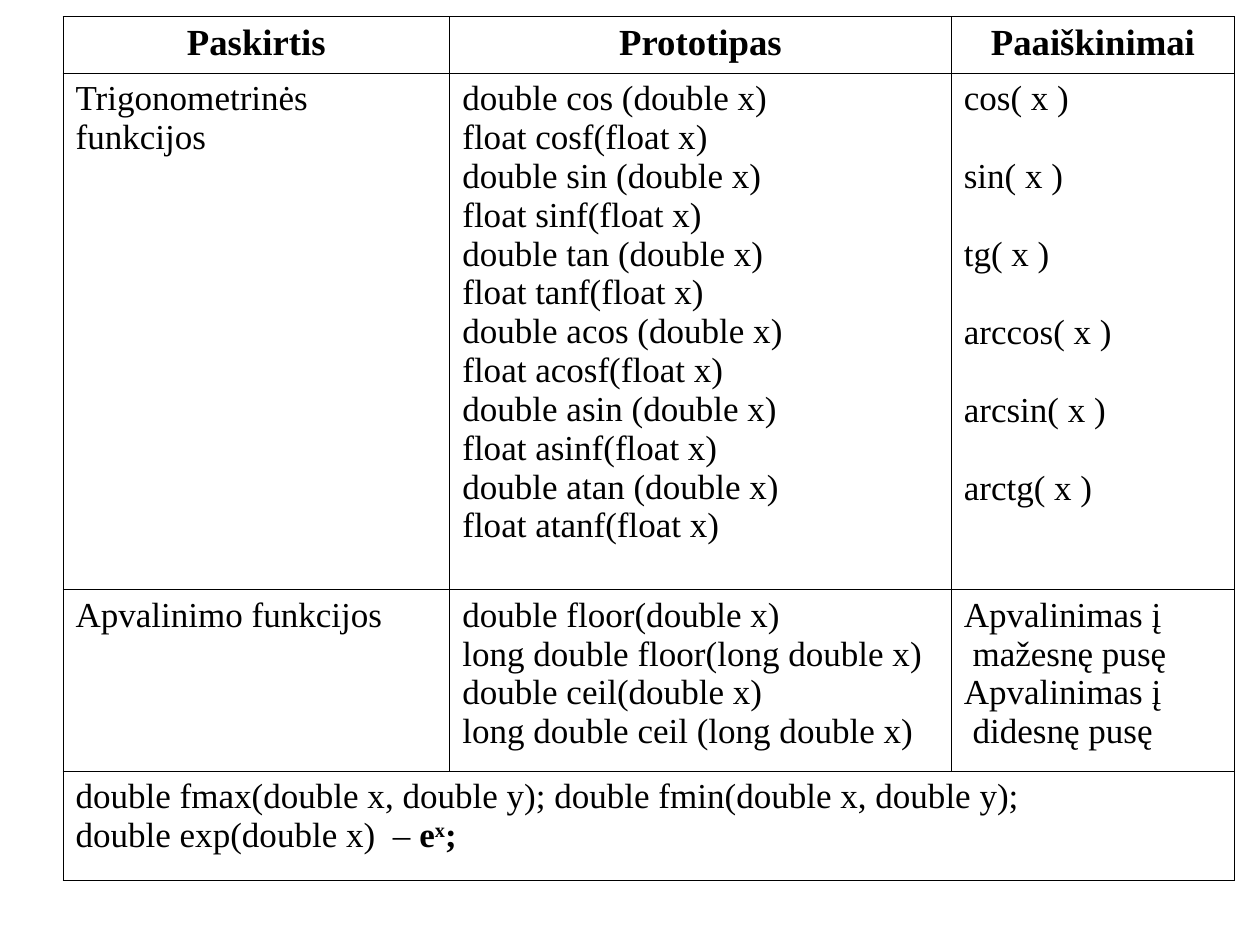
from pptx import Presentation
from pptx.dml.color import RGBColor
from pptx.enum.text import PP_ALIGN
from pptx.oxml.ns import qn
from pptx.util import Inches, Pt
from lxml import etree

CENTER = PP_ALIGN.CENTER
LEFT = PP_ALIGN.LEFT
FONT = "Times New Roman"
COLORS = {"ink": "000000", "paper": "FFFFFF"}
SLIDE_WIDTH, SLIDE_HEIGHT = Inches(10), Inches(7.5)
COLUMN_PERCENTS = [30.7, 39.8, 22.5]
ROW_PERCENTS = [6, 54.67, 19.2, 11.6]
LEFT_PERCENT, TOP_PERCENT = 5, 1.73
BORDER_WIDTH = Pt(0.45)
SKIPPED_LINE = 22.4

HEADINGS = ["Paskirtis", "Prototipas", "Paaiškinimai"]
TRIGONOMETRY = {"cos": "cos", "sin": "sin", "tan": "tg",
                "acos": "arccos", "asin": "arcsin", "atan": "arctg"}
ROUNDING = [
    "double floor(double x)",
    "long double floor(long double x)",
    "double ceil(double x)",
    "long double ceil (long double x)",
]
ROUNDING_NOTES = ["Apvalinimas į", " mažesnę pusę", "Apvalinimas į", " didesnę pusę"]


def across(percent):
    return round(SLIDE_WIDTH * percent / 100)


def down(percent):
    return round(SLIDE_HEIGHT * percent / 100)


def add_span(para, text, size=20, bold=False, baseline=None):
    span = para.add_run()
    span.text = text
    span.font.name = FONT
    span.font.size = Pt(size)
    span.font.bold = bold
    span.font.color.rgb = RGBColor.from_string(COLORS["ink"])
    if baseline:
        span.font._element.set("baseline", str(baseline * 1000))


def write_lines(cell, lines, align=LEFT, space_after=0, **style):
    frame = cell.text_frame
    for index, line in enumerate(lines):
        para = frame.add_paragraph() if index else frame.paragraphs[0]
        para.alignment = align
        para.space_after = Pt(space_after)
        add_span(para, line, **style)
    return para


def style_cell(cell):
    properties = cell._tc.get_or_add_tcPr()
    for side in ("lnL", "lnR", "lnT", "lnB"):
        line = etree.SubElement(properties, qn(f"a:{side}"), w=str(BORDER_WIDTH))
        fill = etree.SubElement(line, qn("a:solidFill"))
        etree.SubElement(fill, qn("a:srgbClr"), val=COLORS["ink"])
    cell.fill.solid()
    cell.fill.fore_color.rgb = RGBColor.from_string(COLORS["paper"])
    cell.margin_left = cell.margin_right = Inches(0.1)
    cell.margin_top = cell.margin_bottom = Inches(0.05)


def add_grid(page):
    table = page.shapes.add_table(
        len(ROW_PERCENTS), len(COLUMN_PERCENTS),
        across(LEFT_PERCENT), down(TOP_PERCENT),
        across(sum(COLUMN_PERCENTS)), down(sum(ROW_PERCENTS))).table
    table.first_row = table.horz_banding = False
    for column, percent in zip(table.columns, COLUMN_PERCENTS):
        column.width = across(percent)
    for row, percent in zip(table.rows, ROW_PERCENTS):
        row.height = down(percent)
    for cell in table.iter_cells():
        style_cell(cell)
    return table


def fill_headings(table):
    for column, heading in enumerate(HEADINGS):
        write_lines(table.cell(0, column), [heading], align=CENTER, size=21, bold=True)


def fill_trigonometry(table):
    prototypes = [line for name in TRIGONOMETRY
                  for line in (f"double {name} (double x)", f"float {name}f(float x)")]
    notes = [f"{name}( x )" for name in TRIGONOMETRY.values()]
    write_lines(table.cell(1, 0), ["Trigonometrinės funkcijos"])
    write_lines(table.cell(1, 1), prototypes)
    write_lines(table.cell(1, 2), notes, space_after=SKIPPED_LINE)


def fill_rounding(table):
    for column, lines in enumerate([["Apvalinimo funkcijos"], ROUNDING, ROUNDING_NOTES]):
        write_lines(table.cell(2, column), lines)


def fill_other_functions(table):
    cell = table.cell(3, 0)
    cell.merge(table.cell(3, 2))
    para = write_lines(cell, [
        "double fmax(double x, double y); double fmin(double x, double y);",
        "double exp(double x)  – ",
    ])
    add_span(para, "e", bold=True)
    add_span(para, "x", bold=True, baseline=30)
    add_span(para, ";", bold=True)


def main():
    deck = Presentation()
    deck.slide_width, deck.slide_height = SLIDE_WIDTH, SLIDE_HEIGHT
    page = deck.slides.add_slide(deck.slide_layouts[6])
    table = add_grid(page)
    fill_headings(table)
    fill_trigonometry(table)
    fill_rounding(table)
    fill_other_functions(table)
    deck.save("out.pptx")


if __name__ == "__main__":
    main()
